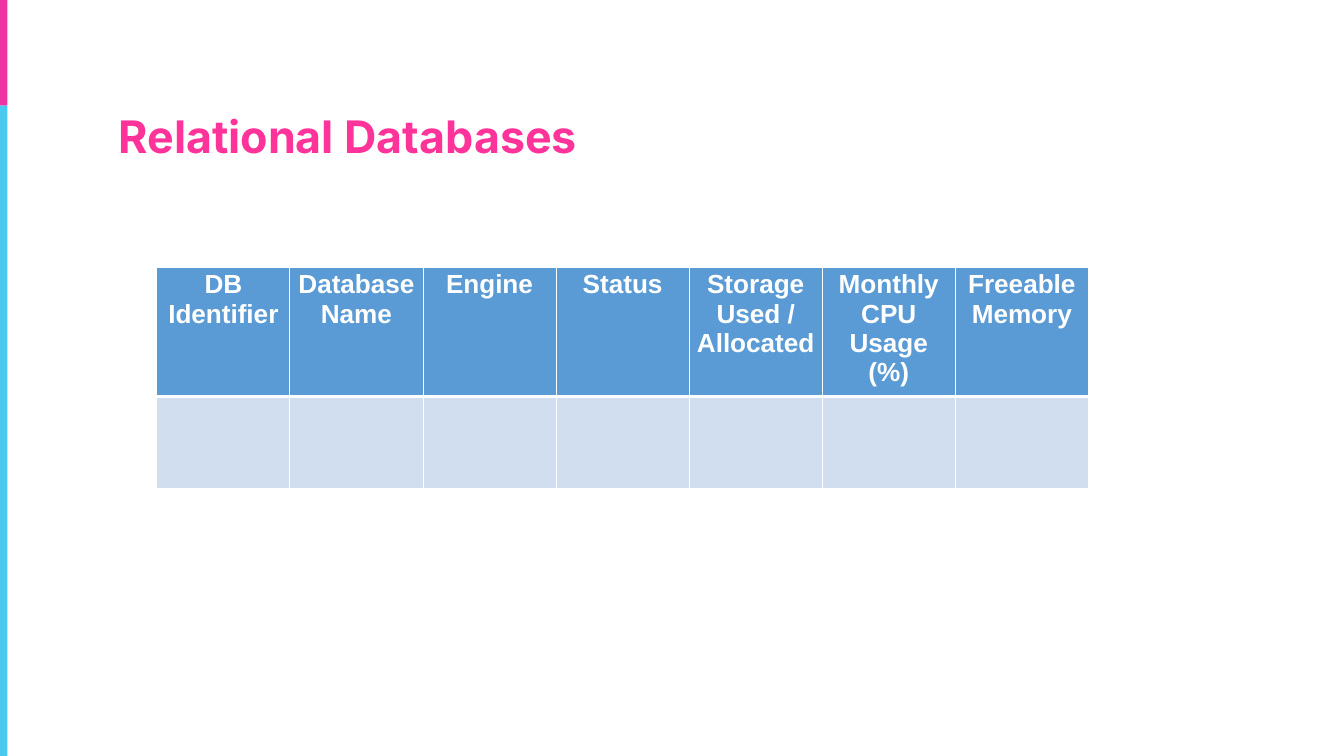
from dataclasses import dataclass

from lxml.etree import SubElement
from pptx import Presentation
from pptx.dml.color import RGBColor
from pptx.enum.shapes import MSO_SHAPE
from pptx.enum.text import MSO_AUTO_SIZE, PP_ALIGN
from pptx.oxml.ns import qn
from pptx.slide import Slide
from pptx.table import _Cell
from pptx.util import Pt


@dataclass(frozen=True)
class Theme:
    pink: str = "FF3399"
    magenta: str = "EF33A2"
    cyan: str = "4BC8EE"
    head: str = "5B9BD5"
    body: str = "D0DEEF"
    white: str = "FFFFFF"
    title_font: str = "Inter"
    table_font: str = "Arial"
    title_size: int = 48
    table_size: int = 28
    thin: int = 1
    thick: int = 3


@dataclass(frozen=True)
class Band:
    top: float
    height: float
    color: str


THEME = Theme()
WIDTH, HEIGHT = 1440, 810
SPLIT = 113
BANDS = (
    Band(SPLIT, HEIGHT - SPLIT, THEME.cyan),
    Band(0, SPLIT, THEME.magenta),
)
HEADS = (
    "DB Identifier",
    "Database Name",
    "Engine",
    "Status",
    "Storage Used / Allocated",
    "Monthly CPU Usage (%)",
    "Freeable Memory",
)
COLUMN = 142.6
ROWS = (138.7, 99)


def add_band(slide: Slide, band: Band) -> None:
    bar = slide.shapes.add_shape(
        MSO_SHAPE.RECTANGLE, 0, Pt(band.top), Pt(8), Pt(band.height)
    )
    bar.shadow.inherit = False
    bar.fill.solid()
    bar.fill.fore_color.rgb = RGBColor.from_string(band.color)
    bar.line.fill.background()


def add_title(slide: Slide, text: str) -> None:
    box = slide.shapes.add_textbox(Pt(120), Pt(113), Pt(588), Pt(65.5))
    frame = box.text_frame
    frame.word_wrap = True
    frame.auto_size = MSO_AUTO_SIZE.SHAPE_TO_FIT_TEXT
    frame.text = text
    font = frame.paragraphs[0].font
    font.name = THEME.title_font
    font.size = Pt(THEME.title_size)
    font.bold = True
    font.color.rgb = RGBColor.from_string(THEME.pink)


def style_cell(cell: _Cell, color: str, top: int, bottom: int) -> None:
    props = cell._tc.get_or_add_tcPr()
    sides = {"lnL": THEME.thin, "lnR": THEME.thin, "lnT": top, "lnB": bottom}
    for side, width in sides.items():
        line = SubElement(props, qn(f"a:{side}"), w=str(Pt(width)))
        fill = SubElement(line, qn("a:solidFill"))
        SubElement(fill, qn("a:srgbClr"), val=THEME.white)
    cell.fill.solid()
    cell.fill.fore_color.rgb = RGBColor.from_string(color)


def write_head(cell: _Cell, text: str) -> None:
    cell.text = text
    line = cell.text_frame.paragraphs[0]
    line.alignment = PP_ALIGN.CENTER
    line.font.name = THEME.table_font
    line.font.size = Pt(THEME.table_size)
    line.font.bold = True
    line.font.color.rgb = RGBColor.from_string(THEME.white)


def add_grid(slide: Slide) -> None:
    count = len(HEADS)
    table = slide.shapes.add_table(
        len(ROWS), count, Pt(168), Pt(286), Pt(COLUMN * count), Pt(sum(ROWS))
    ).table
    for column in table.columns:
        column.width = Pt(COLUMN)
    for row, height in zip(table.rows, ROWS):
        row.height = Pt(height)
    for index, text in enumerate(HEADS):
        head, body = table.cell(0, index), table.cell(1, index)
        style_cell(head, THEME.head, THEME.thin, THEME.thick)
        style_cell(body, THEME.body, THEME.thick, THEME.thin)
        write_head(head, text)


def main() -> None:
    deck = Presentation()
    deck.slide_width, deck.slide_height = Pt(WIDTH), Pt(HEIGHT)
    slide = deck.slides.add_slide(deck.slide_layouts[6])
    for band in BANDS:
        add_band(slide, band)
    add_grid(slide)
    add_title(slide, "Relational Databases")
    deck.save("out.pptx")


if __name__ == "__main__":
    main()
